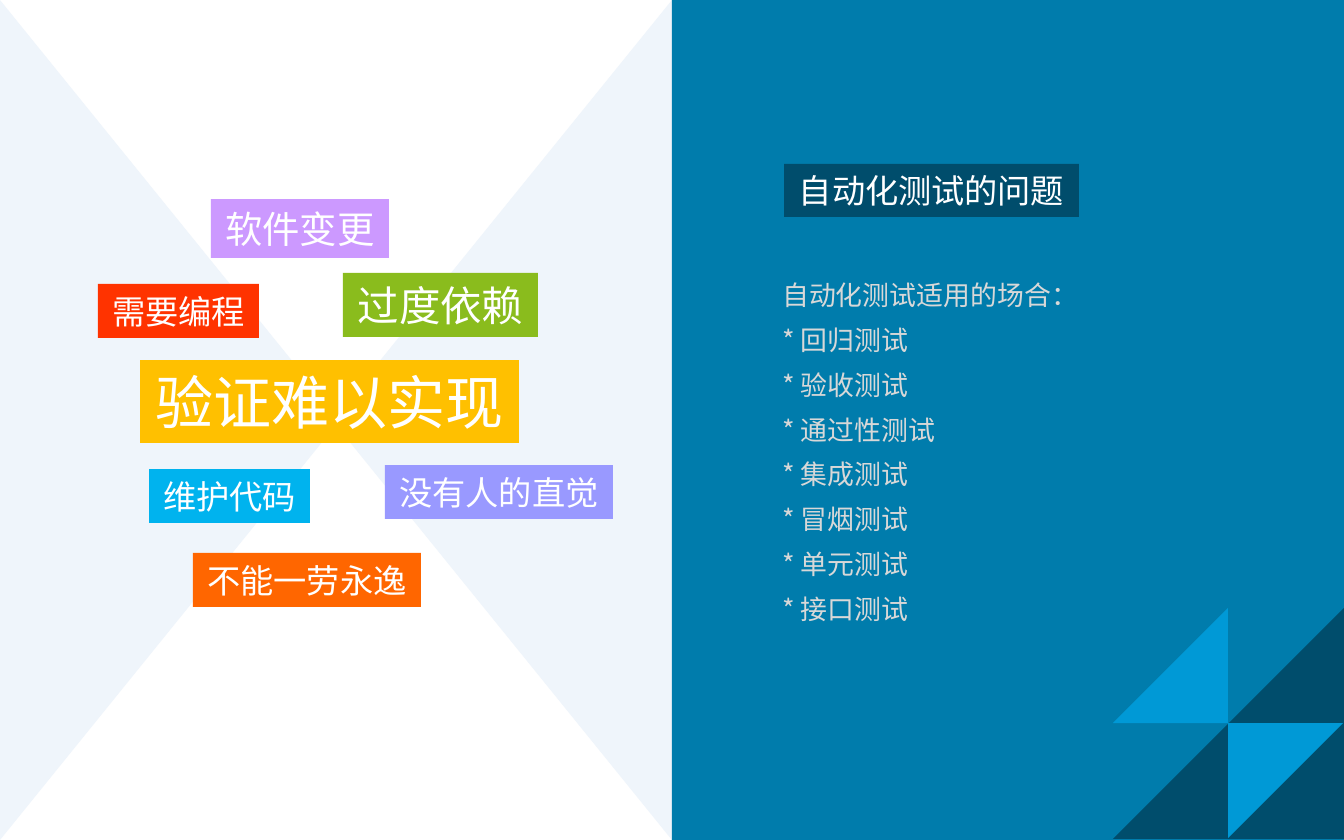
import pptx
import pptx.dml.color
import pptx.enum.shapes
import pptx.enum.text
import pptx.oxml.ns
import pptx.util

PX = 914400 / 134.4
FONT = "Noto Sans CJK KR"
SHAPE = pptx.enum.shapes.MSO_SHAPE
ALIGN = pptx.enum.text.PP_ALIGN
COLORS = {
    "pale": "EFF5FB", "panel": "007CAC", "dark": "004D6C", "light": "0099D6",
    "white": "FFFFFF", "grey": "D8D8D8", "cyan": "00B3EE", "amber": "FFC000",
    "red": "FF3300", "green": "8ABC1D", "periwinkle": "9999FF",
    "orange": "FF6600", "lilac": "CC99FF",
}
LABELS = [
    ("维护代码", 149, 469, 161, 54, 17.8, "cyan"),
    ("验证难以实现", 140, 360, 379, 83, 31.1, "amber"),
    ("需要编程", 98, 284, 161, 54, 17.8, "red"),
    ("过度依赖", 343, 273, 195, 64, 22.2, "green"),
    ("没有人的直觉", 385, 465, 228, 54, 17.8, "periwinkle"),
    ("不能一劳永逸", 193, 553, 228, 54, 17.8, "orange"),
    ("软件变更", 211, 199, 178, 59, 20, "lilac"),
    ("自动化测试的问题", 784, 164, 295, 53, 17.8, "dark"),
]
SCENARIOS = ["回归测试", "验收测试", "通过性测试", "集成测试",
             "冒烟测试", "单元测试", "接口测试"]


def px(*lengths):
    return [pptx.util.Emu(round(n * PX)) for n in lengths]


def rgb(name):
    return pptx.dml.color.RGBColor.from_string(COLORS[name])


def add_block(s, kind, box, color, rotation=0):
    sp = s.shapes.add_shape(kind, *px(*box))
    sp.shadow.inherit = False
    sp.fill.solid()
    sp.fill.fore_color.rgb = rgb(color)
    sp.line.fill.background()
    sp.rotation = rotation
    return sp


def add_run(p, text, size, color):
    r = p.add_run()
    r.text = text
    r.font.name = FONT
    r.font.size = pptx.util.Pt(size)
    r.font.color.rgb = rgb(color)
    ea = r.font._element.makeelement(pptx.oxml.ns.qn("a:ea"), {"typeface": FONT})
    r.font._element.find(pptx.oxml.ns.qn("a:latin")).addnext(ea)


def add_label(s, text, x, y, w, h, size, color):
    sp = add_block(s, SHAPE.RECTANGLE, (x, y, w, h), color)
    tf = sp.text_frame
    tf.word_wrap = False
    tf.margin_top = tf.margin_bottom = 0
    tf.vertical_anchor = pptx.enum.text.MSO_ANCHOR.MIDDLE
    p = tf.paragraphs[0]
    p.alignment = ALIGN.CENTER
    add_run(p, text, size, "white")


def add_scenarios(s):
    tf = s.shapes.add_textbox(*px(769, 279, 564, 400)).text_frame
    tf.word_wrap = True
    tf.margin_top = tf.margin_bottom = 0
    lines = ["自动化测试适用的场合："] + [f"* {name}" for name in SCENARIOS]
    for i, line in enumerate(lines):
        p = tf.add_paragraph() if i else tf.paragraphs[0]
        p.alignment = ALIGN.JUSTIFY
        p.line_spacing = pptx.util.Pt(17.3)
        p.space_after = pptx.util.Pt(6.7)
        add_run(p, line, 14.4, "grey")


def add_background(s):
    add_block(s, SHAPE.ISOSCELES_TRIANGLE, (-250, 250, 840, 340), "pale", 90)
    add_block(s, SHAPE.ISOSCELES_TRIANGLE, (82, 250, 840, 340), "pale", 270)
    add_block(s, SHAPE.RECTANGLE, (672, 0, 672, 840), "panel")


def add_corner(s):
    """Large dark triangle with two light ones, at the lower right."""
    x, y, side = 1113, 608, 115
    for left, top, size, color, rotation in [
        (x, y, 2 * side + 1, "dark", 270),
        (x + side, y + side, side, "light", 90),
        (x, y, side, "light", 270),
    ]:
        add_block(s, SHAPE.RIGHT_TRIANGLE, (left, top, size, size), color, rotation)


def main():
    prs = pptx.Presentation()
    prs.slide_width, prs.slide_height = px(1344, 840)
    s = prs.slides.add_slide(prs.slide_layouts[6])
    add_background(s)
    for label in LABELS:
        add_label(s, *label)
    add_scenarios(s)
    add_corner(s)
    prs.save("out.pptx")


if __name__ == "__main__":
    main()
